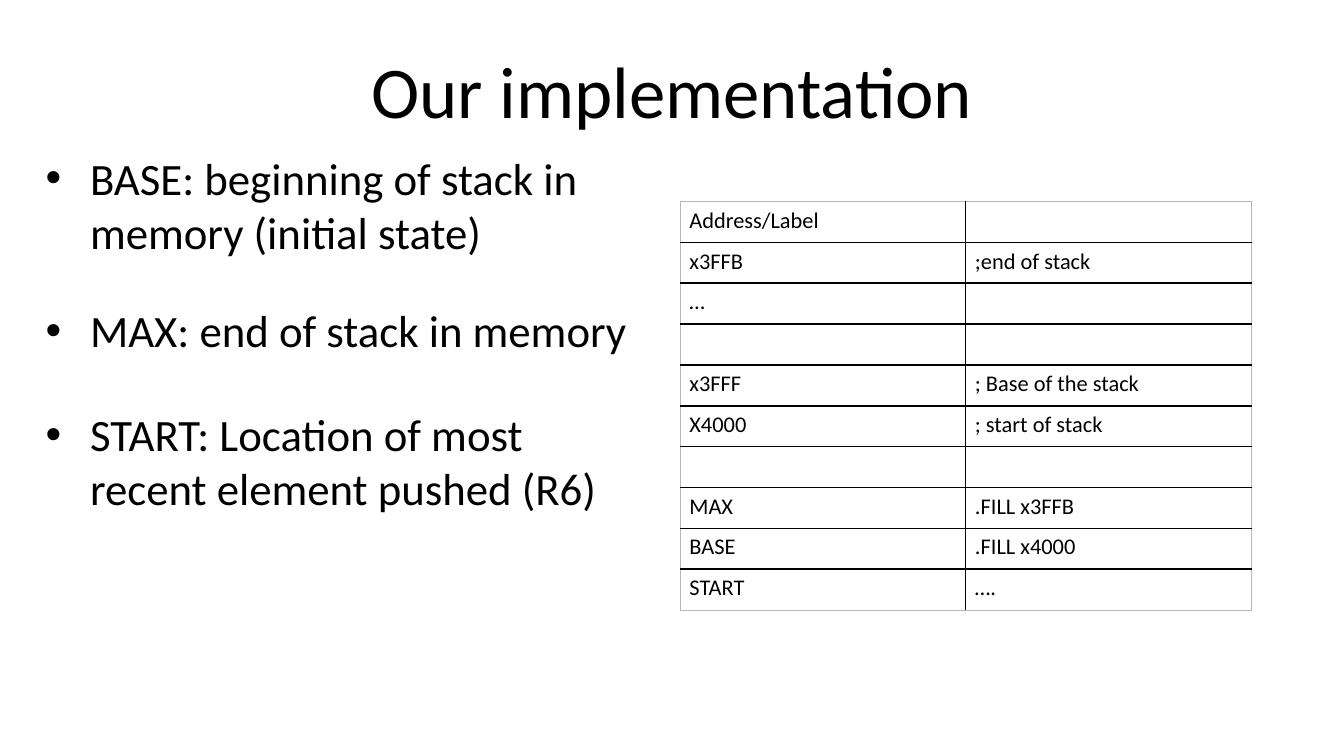
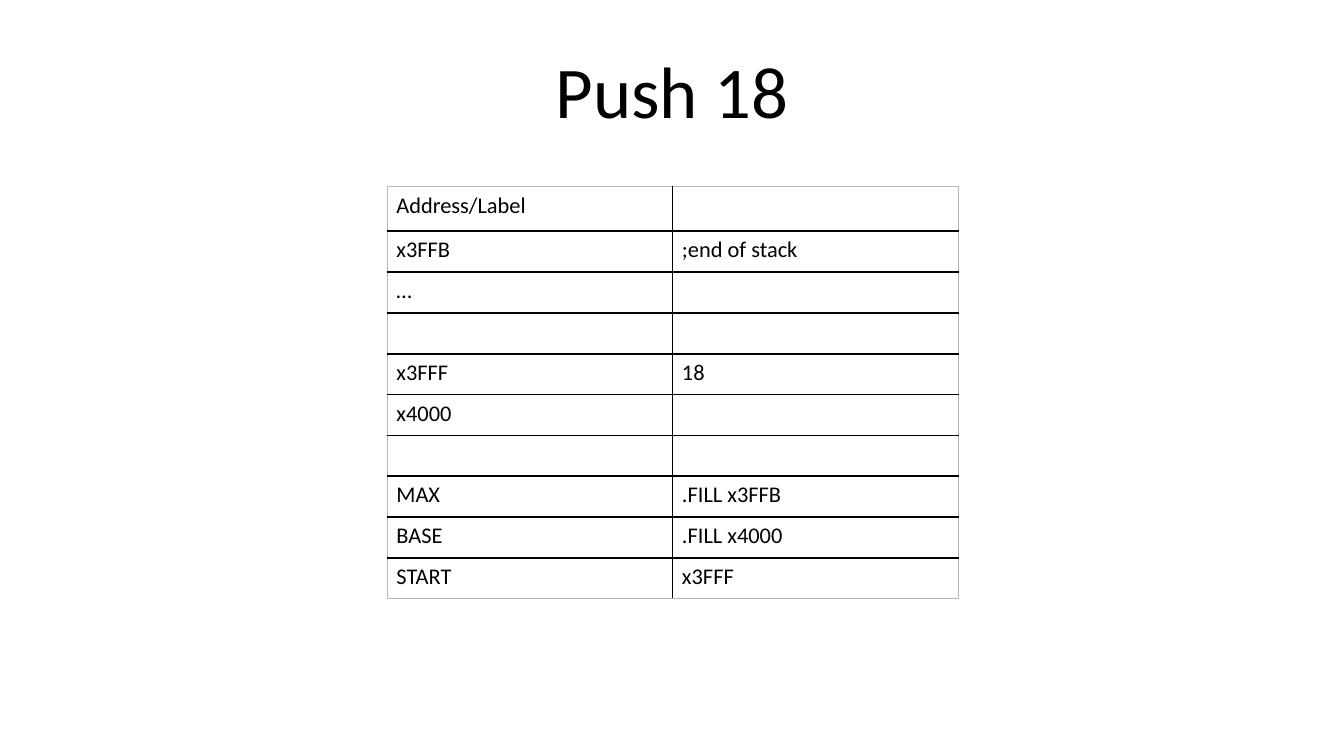
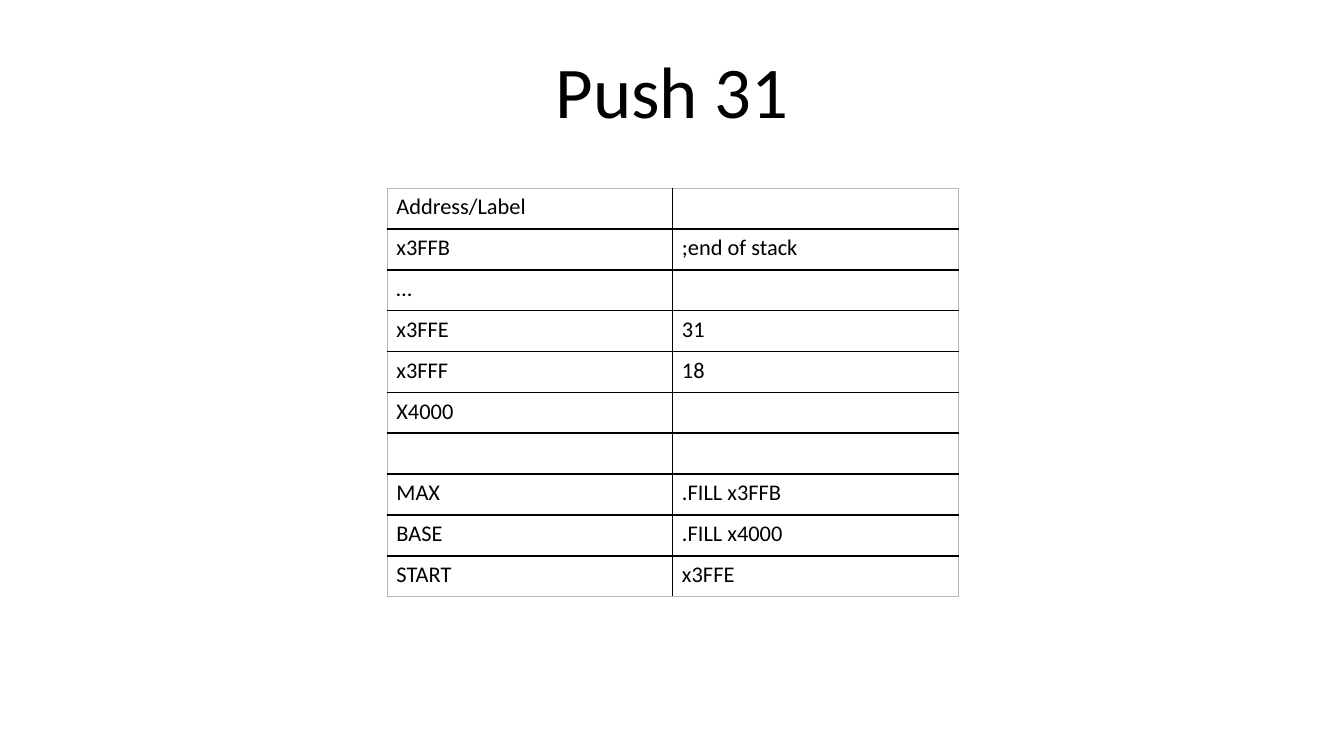
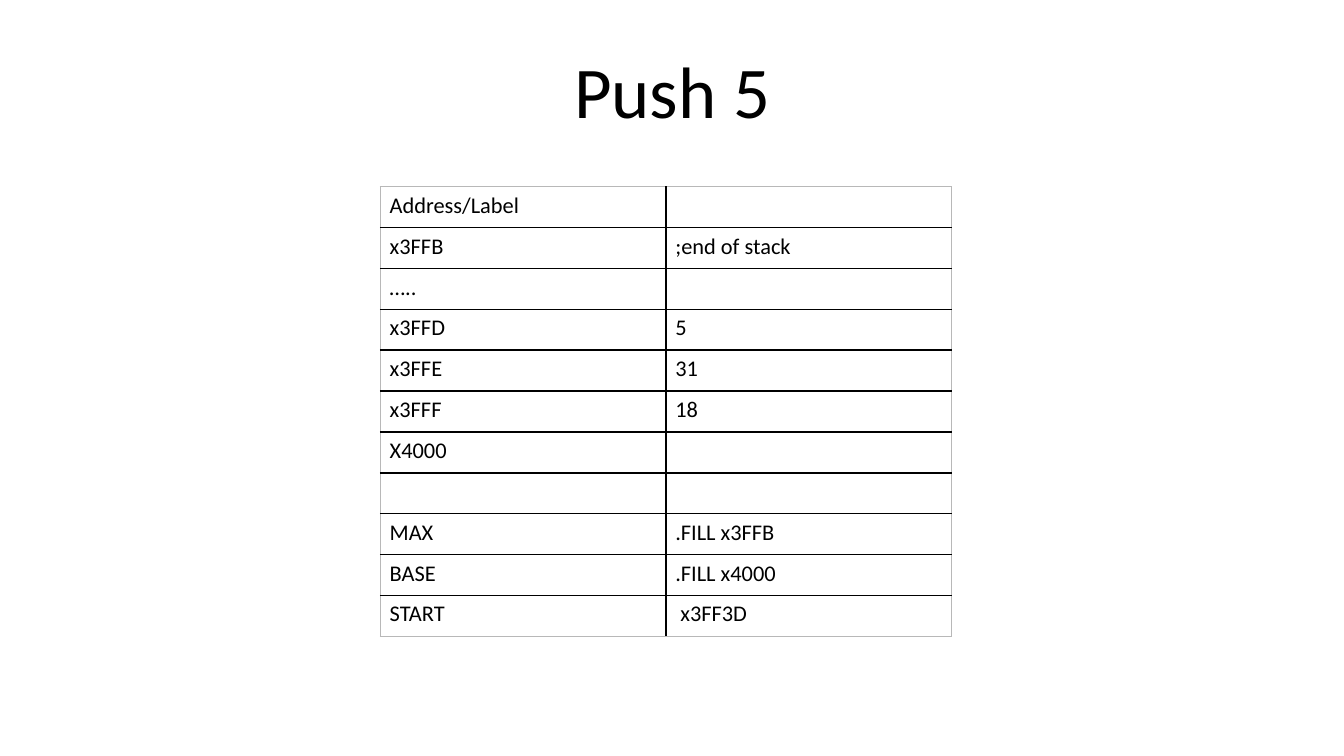
from lxml import etree
from pptx import Presentation
from pptx.dml.color import RGBColor
from pptx.enum import text
from pptx.oxml import ns
from pptx.util import Inches, Pt

BLACK = RGBColor(0x00, 0x00, 0x00)
WHITE = RGBColor(0xFF, 0xFF, 0xFF)
EDGE_GRAY = RGBColor(0xB8, 0xB8, 0xB8)
FONT = "Calibri"
TITLE_ONLY = 5

SLIDE_WIDTH = Inches(10)
SLIDE_HEIGHT = SLIDE_WIDTH * 9 // 16
TITLE_BOX = (0.69, 0.3, 8.62, 1.09)
BODY_BOX = (0.27, 1.08, 4.49, 3.57)
TABLE_WIDTH = 4.25
ROW_HEIGHT = Inches(3.04) // 10
CELL_SIZE = 12

HEADER = ("Address/Label", "")
STACK_END = ("x3FFB", ";end of stack")
BLANK = ("", "")

# (text, space before in points)
DEFINITIONS = [
    ("BASE: beginning of stack in memory (initial state)", 0),
    ("MAX: end of stack in memory", 24),
    ("START: Location of most recent element pushed (R6)", 27),
]


def stack_rows(memory, start):
    """Full table: the shared rows around the memory cells and the START value."""
    return [HEADER, STACK_END, *memory, BLANK,
            ("MAX", ".FILL x3FFB"), ("BASE", ".FILL x4000"), ("START", start)]


# title, table left and top, first row height, rows
STACK_SLIDES = [
    ("Our implementation", 5.06, 1.5, ROW_HEIGHT, stack_rows(
        [("…", ""), BLANK, ("x3FFF", "; Base of the stack"),
         ("X4000", "; start of stack")], "….")),
    ("Push 18", 2.88, 1.39, Inches(0.33), stack_rows(
        [("…", ""), BLANK, ("x3FFF", "18"), ("x4000", "")], "x3FFF")),
    ("Push 31", 2.88, 1.4, ROW_HEIGHT, stack_rows(
        [("…", ""), ("x3FFE", "31"), ("x3FFF", "18"), ("X4000", "")], "x3FFE")),
    ("Push 5", 2.83, 1.39, ROW_HEIGHT, stack_rows(
        [("…..", ""), ("x3FFD", "5"), ("x3FFE", "31"), ("x3FFF", "18"),
         ("X4000", "")], " x3FF3D")),
]


def set_font(paragraph, size):
    font = paragraph.font
    font.name, font.size, font.color.rgb = FONT, Pt(size), BLACK


def set_margins(holder):
    holder.margin_left = holder.margin_right = Inches(0.07)
    holder.margin_top = holder.margin_bottom = Inches(0.04)


def set_frame(frame):
    set_margins(frame)
    frame.word_wrap = True
    frame.auto_size = text.MSO_AUTO_SIZE.NONE
    frame.vertical_anchor = text.MSO_ANCHOR.TOP


def place_title(slide, title_text, box):
    title = slide.shapes.title
    title.left, title.top, title.width, title.height = map(Inches, box)
    set_frame(title.text_frame)
    title.text_frame.text = title_text
    paragraph = title.text_frame.paragraphs[0]
    paragraph.alignment = text.PP_ALIGN.CENTER
    set_font(paragraph, 39)


def add_bullet(paragraph):
    properties = paragraph._p.get_or_add_pPr()
    properties.set("marL", str(Inches(0.33)))
    properties.set("indent", str(-Inches(0.33)))
    bullet_font = etree.Element(ns.qn("a:buFont"), typeface="Arial")
    bullet = etree.Element(ns.qn("a:buChar"), char="•")
    properties.find(ns.qn("a:defRPr")).addprevious(bullet_font)
    bullet_font.addnext(bullet)


def add_definitions(slide, definitions, box):
    frame = slide.shapes.add_textbox(*map(Inches, box)).text_frame
    set_frame(frame)
    for index, (definition, space_before) in enumerate(definitions):
        paragraph = frame.add_paragraph() if index else frame.paragraphs[0]
        paragraph.text = definition
        paragraph.space_before = Pt(space_before)
        set_font(paragraph, 24)
        add_bullet(paragraph)


def set_borders(cell, outer_sides):
    """Draw gray hairlines on the table's outer sides and black lines inside."""
    properties = cell._tc.get_or_add_tcPr()
    for index, side in enumerate("LRTB"):
        color, width = (EDGE_GRAY, 0.5) if side in outer_sides else (BLACK, 1)
        line = etree.Element(ns.qn(f"a:ln{side}"), w=str(Pt(width)))
        fill = etree.SubElement(line, ns.qn("a:solidFill"))
        etree.SubElement(fill, ns.qn("a:srgbClr"), val=str(color))
        properties.insert(index, line)


def fill_cell(cell, cell_text):
    set_margins(cell)
    cell.fill.solid()
    cell.fill.fore_color.rgb = WHITE
    cell.text = cell_text
    paragraph = cell.text_frame.paragraphs[0]
    set_font(paragraph, CELL_SIZE)
    if not cell_text:
        etree.SubElement(paragraph._p, ns.qn("a:endParaRPr"), sz=str(CELL_SIZE * 100))


def add_stack_table(slide, rows, left, top, first_height):
    last_row, last_column = len(rows) - 1, len(HEADER) - 1
    table = slide.shapes.add_table(
        len(rows), len(HEADER), Inches(left), Inches(top), Inches(TABLE_WIDTH),
        first_height + last_row * ROW_HEIGHT).table
    table.first_row = table.horz_banding = False
    for row_index, row in enumerate(rows):
        table.rows[row_index].height = ROW_HEIGHT if row_index else first_height
        for column_index, cell_text in enumerate(row):
            cell = table.cell(row_index, column_index)
            fill_cell(cell, cell_text)
            edges = {"L": column_index == 0, "R": column_index == last_column,
                     "T": row_index == 0, "B": row_index == last_row}
            set_borders(cell, [side for side, outer in edges.items() if outer])


def add_stack_slide(presentation, title, left, top, first_height, rows):
    slide = presentation.slides.add_slide(presentation.slide_layouts[TITLE_ONLY])
    place_title(slide, title, TITLE_BOX)
    add_stack_table(slide, rows, left, top, first_height)
    return slide


def main():
    presentation = Presentation()
    presentation.slide_width, presentation.slide_height = SLIDE_WIDTH, SLIDE_HEIGHT
    slides = [add_stack_slide(presentation, *content) for content in STACK_SLIDES]
    add_definitions(slides[0], DEFINITIONS, BODY_BOX)
    presentation.save("out.pptx")


if __name__ == "__main__":
    main()
